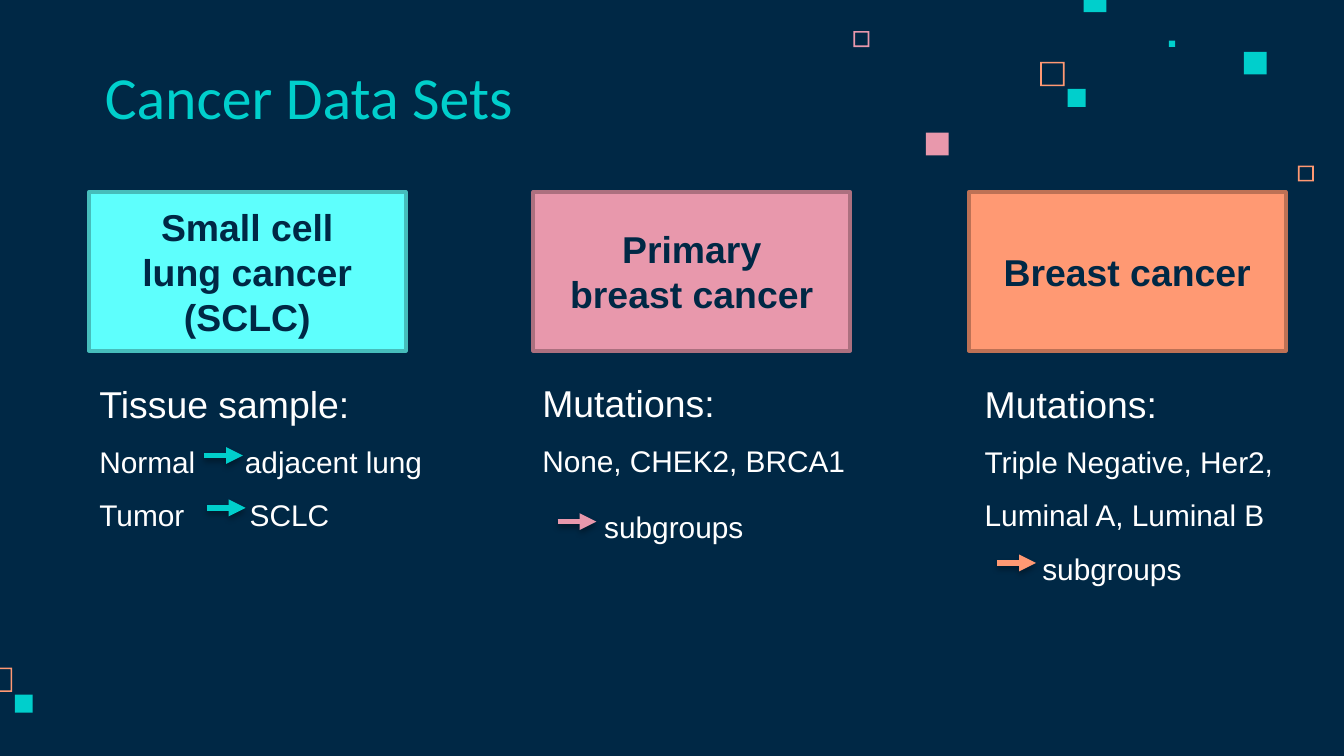
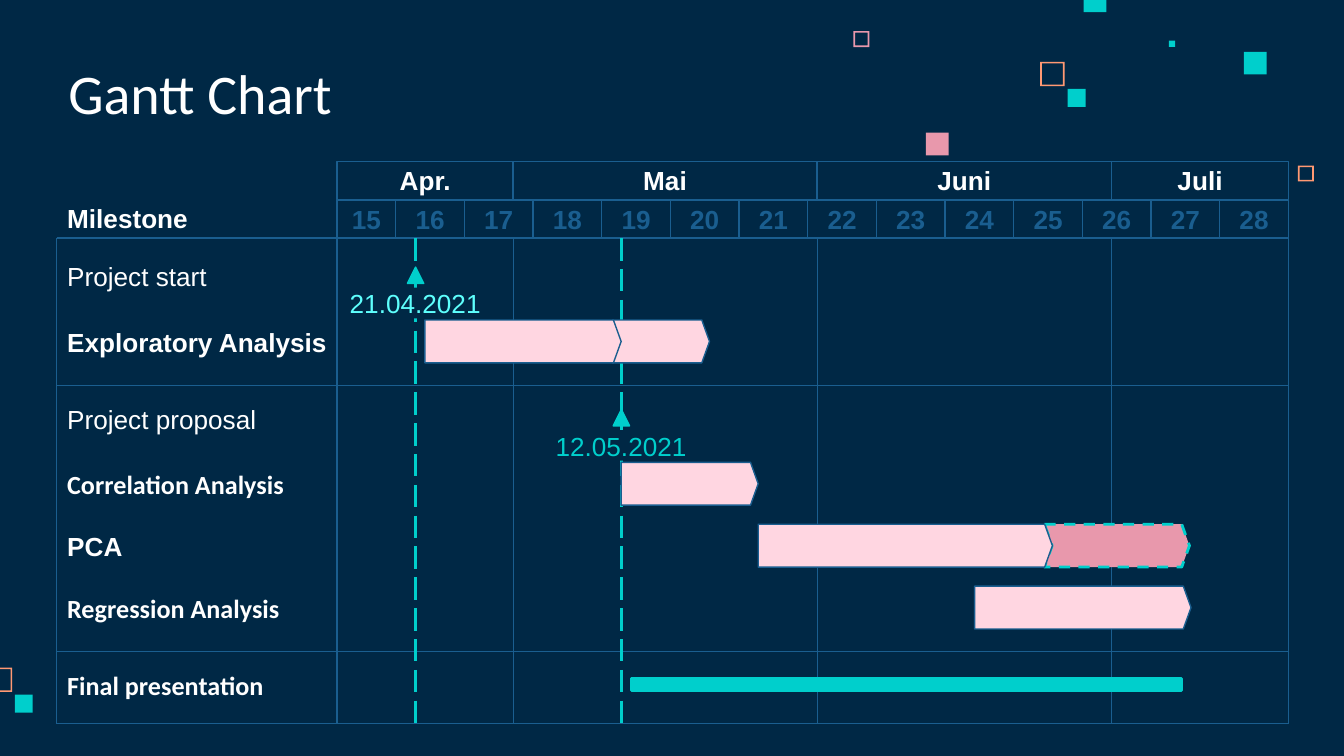
from dataclasses import dataclass

import pptx
import pptx.dml.color
import pptx.enum.dml
import pptx.enum.shapes
import pptx.enum.text
import pptx.oxml
import pptx.oxml.ns
import pptx.util

Cm = pptx.util.Cm
Pt = pptx.util.Pt
SHAPE = pptx.enum.shapes.MSO_SHAPE
ANCHOR = pptx.enum.text.MSO_ANCHOR
ALIGN = pptx.enum.text.PP_ALIGN
DASH = pptx.enum.dml.MSO_LINE


@dataclass(frozen=True)
class Theme:
    # Colours
    navy: str = "002845"
    teal: str = "00CFCC"
    aqua: str = "5EFFFD"
    aqua_edge: str = "46BDBB"
    pink: str = "E898AC"
    pink_edge: str = "AC707F"
    pale_pink: str = "FFD6E1"
    orange: str = "FF9973"
    orange_edge: str = "BD7155"
    grid: str = "1A5E8F"
    white: str = "FFFFFF"
    # Fonts and type sizes
    sans: str = "Arial"
    heading: str = "Calibri"
    title_size: int = 32
    chart_title_size: int = 30
    lead_size: int = 20
    text_size: int = 16
    label_size: int = 14


THEME = Theme()


def rgb(colour):
    return pptx.dml.color.RGBColor.from_string(colour)


def xml(tag, attributes="", inner=""):
    namespace = pptx.oxml.ns.nsdecls("a")
    return pptx.oxml.parse_xml(f"<a:{tag} {namespace} {attributes}>{inner}</a:{tag}>")


class Deck:
    """Holds the style and the current slide; positions are in centimetres."""

    def __init__(self, theme):
        self.theme = theme
        self.prs = pptx.Presentation()
        self.prs.slide_width, self.prs.slide_height = Cm(25.4), Cm(14.29)
        self.slide = None
        background = self.prs.slide_master.background.fill
        background.solid()
        background.fore_color.rgb = rgb(theme.navy)

    def new_slide(self):
        layout = self.prs.slide_layouts.get_by_name("Title Only")
        self.slide = self.prs.slides.add_slide(layout)

    def move_to_master(self, shape, number):
        shape.element.xpath(".//p:cNvPr")[0].set("id", str(100 + number))
        self.prs.slide_master.shapes.element.append(shape.element)

    def style_run(self, run, size, colour, bold=False, font=None):
        run.font.name = font or self.theme.sans
        run.font.size = Pt(size)
        run.font.bold = bold
        run.font.color.rgb = rgb(colour)

    def add_text(self, paragraph, text, size, colour, bold=False, font=None):
        for i, line in enumerate(text.split("\n")):
            if i:
                paragraph.add_line_break()
            run = paragraph.add_run()
            run.text = line
            self.style_run(run, size, colour, bold, font)

    def frame(self, shape, anchor, margins=None, wrap=True):
        frame = shape.text_frame
        frame.word_wrap = wrap
        frame.auto_size = pptx.enum.text.MSO_AUTO_SIZE.NONE
        frame.vertical_anchor = anchor
        if margins:
            horizontal, vertical = margins
            frame.margin_left = frame.margin_right = Cm(horizontal)
            frame.margin_top = frame.margin_bottom = Cm(vertical)
        return frame

    def title(self, text, left, top, size, colour):
        title = self.slide.shapes.title
        title.left, title.top, title.width, title.height = map(Cm, (left, top, 13.13, 1.6))
        paragraph = self.frame(title, ANCHOR.BOTTOM, (0.25, 0.25)).paragraphs[0]
        paragraph.alignment = ALIGN.LEFT
        self.add_text(paragraph, text, size, colour, font=self.theme.heading)

    def shape(self, kind, box, fill=None, edge=None, width=0.75, adjust=None, dash=None):
        shape = self.slide.shapes.add_shape(kind, *map(Cm, box))
        shape.shadow.inherit = False
        if fill:
            shape.fill.solid()
            shape.fill.fore_color.rgb = rgb(fill)
        else:
            shape.fill.background()
        if edge:
            shape.line.color.rgb = rgb(edge)
            shape.line.width = Pt(width)
            if dash:
                shape.line.dash_style = dash
        else:
            shape.line.fill.background()
        if adjust is not None:
            shape.adjustments[0] = adjust
        return shape

    def label(self, shape, paragraphs, size, colour, bold=True, margins=None, wrap=True,
              align=ALIGN.CENTER, anchor=ANCHOR.MIDDLE):
        frame = self.frame(shape, anchor, margins, wrap)
        for i, text in enumerate(paragraphs):
            paragraph = frame.add_paragraph() if i else frame.paragraphs[0]
            paragraph.alignment = align
            self.add_text(paragraph, text, size, colour, bold)

    def row_name(self, text, top, bold, font, anchor=ANCHOR.TOP):
        name = self.slide.shapes.add_textbox(Cm(1.27), Cm(top), Cm(5), Cm(0.58))
        paragraph = self.frame(name, anchor, (0, 0)).paragraphs[0]
        self.add_text(paragraph, text, self.theme.label_size, self.theme.white, bold, font)

    def details(self, box, heading, rows):
        """rows: (text, tab stop, left indent, space before)."""
        column = self.slide.shapes.add_textbox(*map(Cm, box))
        frame = self.frame(column, ANCHOR.TOP)
        lead = frame.paragraphs[0]
        lead.line_spacing = 1.5
        self.add_text(lead, heading, self.theme.lead_size, self.theme.white)
        for text, tab, indent, before in rows:
            paragraph = frame.add_paragraph()
            properties = paragraph._p.get_or_add_pPr()
            if tab:
                properties.append(xml("tabLst", "", f'<a:tab pos="{Cm(tab)}" algn="l"/>'))
            if indent:
                properties.set("marL", str(Cm(indent)))
            paragraph.line_spacing = 1.5
            if before:
                paragraph.space_before = Pt(before)
            self.add_text(paragraph, text, self.theme.text_size, self.theme.white)

    def line(self, start, end, colour, width, dash=None):
        connector = self.slide.shapes.add_connector(
            pptx.enum.shapes.MSO_CONNECTOR.STRAIGHT, *map(Cm, (*start, *end)))
        connector.line.color.rgb = rgb(colour)
        connector.line.width = Pt(width)
        if dash:
            connector.line.dash_style = dash
        effects = xml("effectLst")
        connector.element.spPr.append(effects)
        return connector, effects

    def arrow(self, left, top, colour):
        connector, effects = self.line((left, top), (left + 0.73, top), colour, 3)
        outline = connector.element.spPr.find(pptx.oxml.ns.qn("a:ln"))
        outline.append(xml("tailEnd", 'type="triangle"'))
        effects.append(xml(
            "outerShdw",
            f'blurRad="{Pt(3.1)}" dist="{Pt(1.8)}" dir="5400000" rotWithShape="0"',
            '<a:srgbClr val="000000"><a:alpha val="35000"/></a:srgbClr>'))


def add_confetti(deck):
    """Scattered squares shared by every slide."""
    t = deck.theme
    squares = [  # left, top, side, colour, hollow
        (24.53, 3.13, 0.3, t.orange, True), (16.13, 0.59, 0.3, t.pink, True),
        (19.66, 1.17, 0.46, t.orange, True), (22.09, 0.77, 0.12, t.teal, False),
        (20.48, -0.2, 0.43, t.teal, False), (23.51, 0.98, 0.43, t.teal, False),
        (20.18, 1.68, 0.34, t.teal, False), (17.5, 2.51, 0.43, t.pink, False),
        (-0.23, 12.62, 0.46, t.orange, True), (0.28, 13.13, 0.34, t.teal, False),
    ]
    for number, (left, top, side, colour, hollow) in enumerate(squares):
        kind = SHAPE.FRAME if hollow else SHAPE.RECTANGLE
        square = deck.shape(kind, (left, top, side, side), colour,
                            adjust=0.03 / side if hollow else None)
        deck.move_to_master(square, number)


def data_sets_slide(deck):
    t = deck.theme
    deck.title("Cancer Data Sets", 1.73, 1.14, t.title_size, t.teal)

    # Details under each data set
    deck.details((1.63, 6.65, 7.75, 4.19), "Tissue sample:", [
        ("Normal\tadjacent lung", 2.75, 0, 0), ("Tumor\tSCLC", 2.84, 0, 0)])
    deck.details((10, 6.63, 6.6, 3.68), "Mutations:", [
        ("None, CHEK2, BRCA1", 0, 0, 0), ("subgroups", 0, 1.17, 6.5)])
    deck.details((18.36, 6.65, 6.6, 5.74), "Mutations:", [
        ("Triple Negative, Her2, Luminal A, Luminal B", 0, 0, 0),
        ("subgroups", 0, 1.09, 0)])
    for left, top, colour in [(3.86, 8.61, t.teal), (3.91, 9.6, t.teal),
                              (10.54, 9.86, t.pink), (18.85, 10.64, t.orange)]:
        deck.arrow(left, top, colour)

    # Data set cards
    for left, fill, edge, names in [
        (1.68, t.aqua, t.aqua_edge, ["Small cell\nlung cancer", "(SCLC)"]),
        (10.08, t.pink, t.pink_edge, ["Primary\nbreast cancer"]),
        (18.31, t.orange, t.orange_edge, ["Breast cancer"]),
    ]:
        card = deck.shape(SHAPE.RECTANGLE, (left, 3.63, 5.99, 3), fill, edge, 2)
        deck.label(card, names, t.lead_size, t.navy)


def gantt_slide(deck):
    t = deck.theme
    deck.title("Gantt Chart", 1.04, 1.02, t.chart_title_size, t.white)

    left, right, top, bottom = 1.07, 24.35, 4.5, 13.68
    month_edges = [6.37, 9.7, 15.44, 21.01, right]
    first_full_week = 7.48
    week_width = (right - first_full_week) / 13
    week_edges = [month_edges[0]] + [first_full_week + i * week_width for i in range(14)]

    # Month and week headers
    for names, edges, header_top, colour in [
        (["Apr.", "Mai", "Juni", "Juli"], month_edges, 3.05, t.white),
        (map(str, range(15, 29)), week_edges, 3.78, t.grid),
    ]:
        for name, start, end in zip(names, edges, edges[1:]):
            cell = deck.shape(SHAPE.RECTANGLE, (start, header_top, end - start, 0.72),
                              edge=t.grid)
            deck.label(cell, [name], t.label_size, colour, margins=(0, 0.08), wrap=False)

    # Grid and milestone lines
    for x in [left, *month_edges]:
        width = 0.25 if x in month_edges[1:-1] else 0.75
        deck.line((x, top), (x, bottom), t.grid, width)
    for y, width in [(7.29, 0.25), (12.31, 0.25), (bottom, 0.75), (top, 0.75)]:
        deck.line((left, y), (right, y), t.grid, width)
    start_x, proposal_x = 7.85, 11.74
    for x in (proposal_x, start_x):
        deck.line((x, top), (x, bottom), t.teal, 1.5, DASH.LONG_DASH)

    # Row names
    start, exploratory, proposal, final = 4.93, 6.17, 7.62, 12.65
    correlation, pca, regression = [8.86 + 1.17 * i for i in range(3)]
    deck.row_name("Milestone", 3.84, True, t.sans, ANCHOR.BOTTOM)
    for name, row, bold, font in [
        ("Project start", start, False, t.sans),
        ("Exploratory Analysis", exploratory, True, t.sans),
        ("Project proposal", proposal, False, t.sans),
        ("Correlation Analysis", correlation, True, t.heading),
        ("PCA", pca, True, t.sans),
        ("Regression Analysis", regression, True, t.heading),
        ("Final presentation", final, True, t.heading),
    ]:
        deck.row_name(name, row, bold, font)

    # Task bars
    plan = (t.pale_pink, t.grid, 0.75, 0.18, None)
    extension = (t.pink, t.teal, 1.5, 0.18, DASH.DASH)
    for kind, x, row, length, look in [
        (SHAPE.CHEVRON, 19.74, pca, 2.74, extension),
        (SHAPE.CHEVRON, 11.58, exploratory, 1.83, plan),
        (SHAPE.PENTAGON, 14.33, pca, 5.56, plan),
        (SHAPE.PENTAGON, 18.42, regression, 4.09, plan),
        (SHAPE.PENTAGON, 8.03, exploratory, 3.71, plan),
        (SHAPE.PENTAGON, proposal_x, correlation, 2.59, plan),
    ]:
        deck.shape(kind, (x, row - 0.12, length, 0.81), *look)
    deck.shape(SHAPE.RECTANGLE, (11.94, final + 0.18, 10.39, 0.23), t.teal, t.teal, 1.5)

    # Milestone markers and dates
    for x, row, day, colour in [(start_x, start, "21.04.2021", t.aqua),
                                (proposal_x, proposal, "12.05.2021", t.teal)]:
        deck.shape(SHAPE.ISOSCELES_TRIANGLE, (x - 0.15, row + 0.12, 0.31, 0.31),
                   t.teal, t.teal)
        date = deck.shape(SHAPE.RECTANGLE, (x - 1.24, row + 0.51, 2.46, 0.58), t.navy)
        deck.label(date, [day], t.label_size, colour, False, (0, 0), False,
                   ALIGN.LEFT, ANCHOR.TOP)


def main():
    deck = Deck(THEME)
    deck.new_slide()
    add_confetti(deck)
    data_sets_slide(deck)
    deck.new_slide()
    gantt_slide(deck)
    deck.prs.save("out.pptx")


if __name__ == "__main__":
    main()
